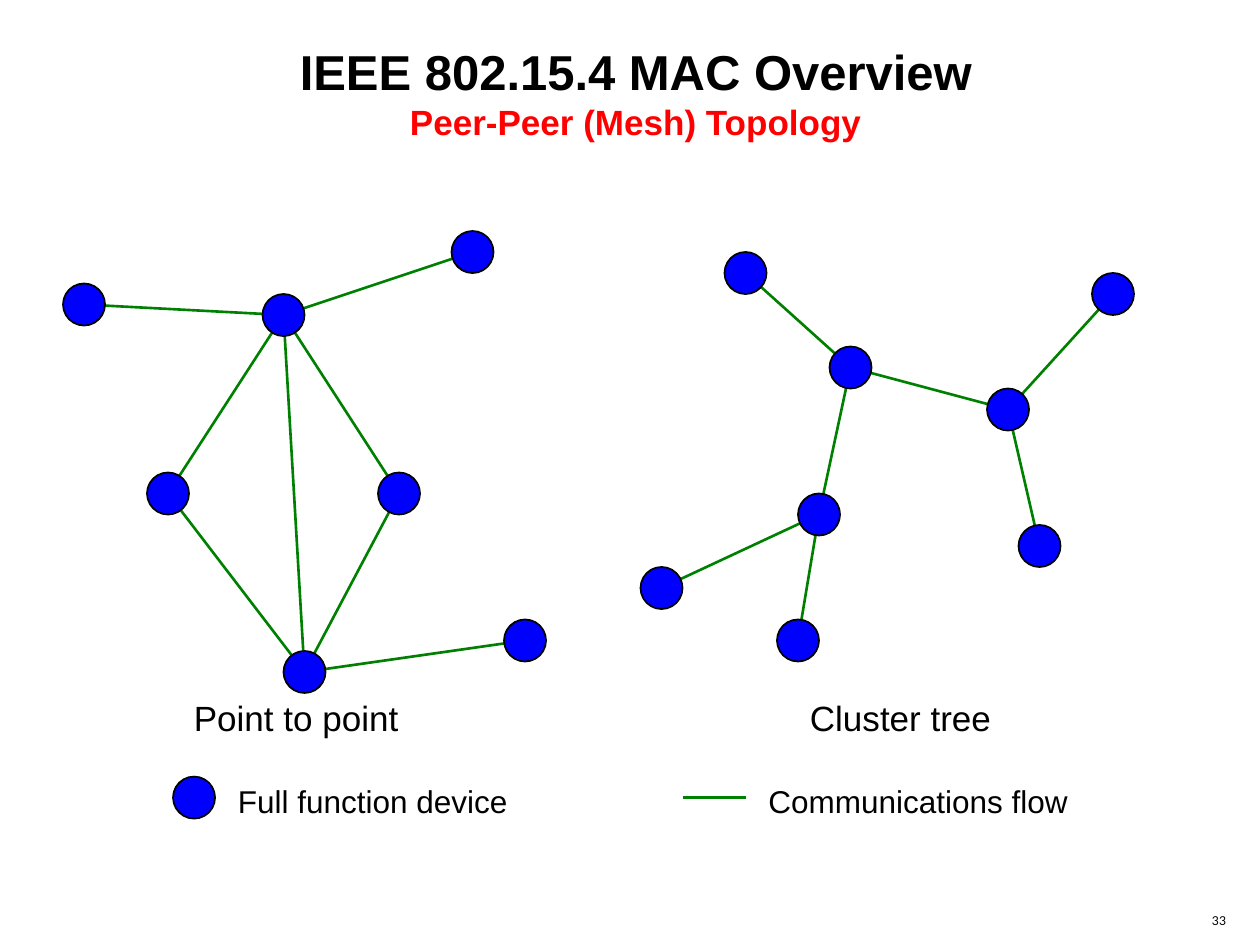
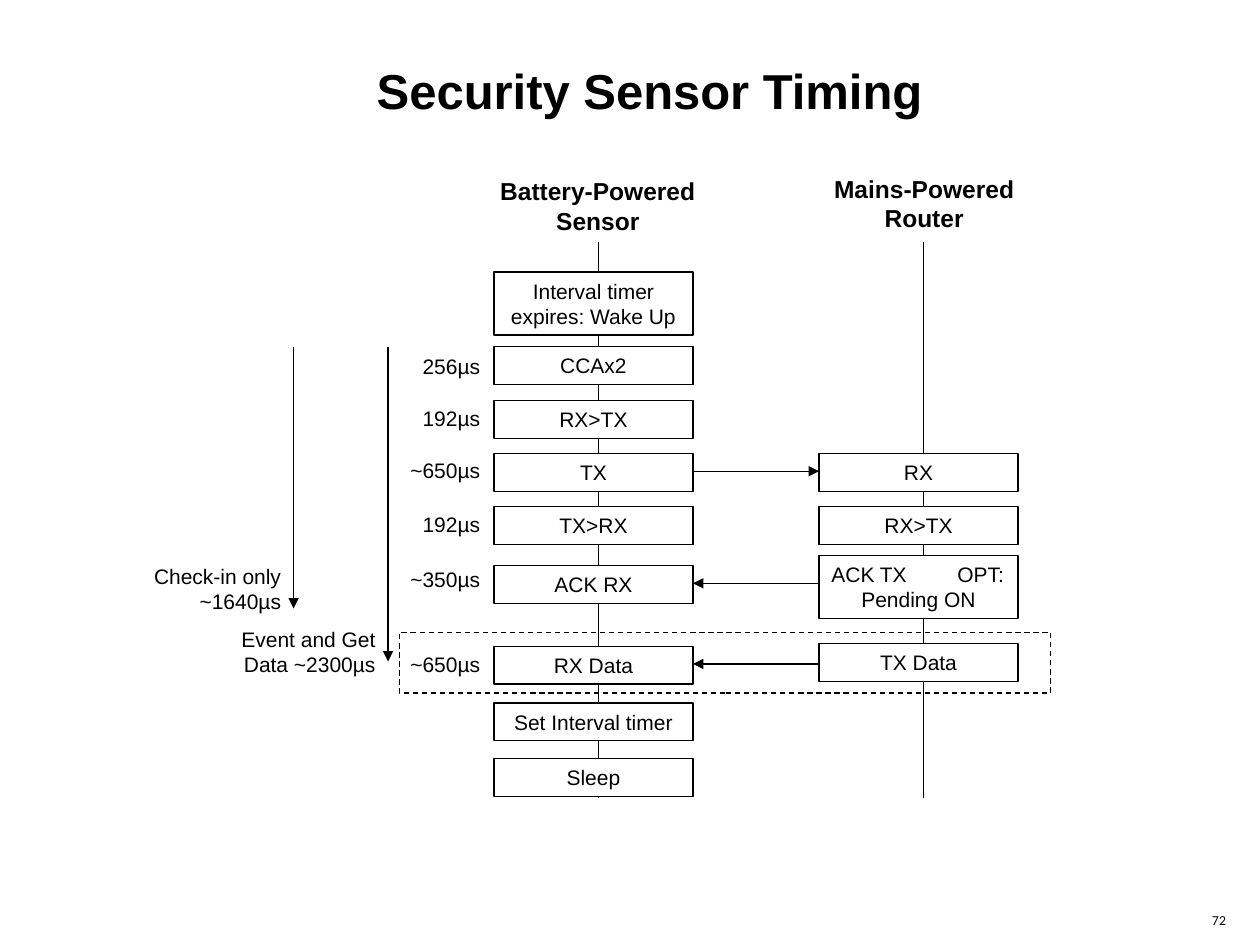
from lxml.etree import SubElement
from pptx import Presentation
from pptx.dml.color import RGBColor
from pptx.enum.dml import MSO_LINE
from pptx.enum.shapes import MSO_CONNECTOR, MSO_SHAPE
from pptx.enum.text import MSO_ANCHOR, PP_ALIGN
from pptx.oxml.ns import qn
from pptx.util import Inches, Pt

COLORS = {"ink": "000000", "paper": "FFFFFF", "accent": "FF0000",
          "device": "0000FF", "flow": "008000"}
FONT, NUMBER_FONT = "Arial", "Lato"
CELLS_PER_INCH = 12

TOPOLOGIES = [
    {
        "caption": ("Point to point", 1.44, 1.92),
        "devices": {"top": (27, 30), "west": (8, 29), "north": (45, 24),
                    "left": (16, 47), "right": (38, 47),
                    "bottom": (29, 64), "east": (50, 61)},
        "flows": [("bottom", "left"), ("bottom", "east"), ("right", "bottom"),
                  ("left", "top"), ("bottom", "top"), ("top", "west"),
                  ("top", "north"), ("top", "right")],
    },
    {
        "caption": ("Cluster tree", 6.33, 1.74),
        "devices": {"root": (81, 35), "root leaf": (71, 26),
                    "east": (96, 39), "east leaf": (106, 28),
                    "east leaf 2": (99, 52), "south": (78, 49),
                    "south leaf": (63, 56), "south leaf 2": (76, 61)},
        "flows": [("root", "root leaf"), ("root", "east"), ("root", "south"),
                  ("east", "east leaf"), ("east", "east leaf 2"),
                  ("south", "south leaf"), ("south", "south leaf 2")],
    },
]
LEGEND_Y = 6.33
DEVICE_SIZE = 1 / 3

STEP_WIDTH, STEP_HEIGHT, TALL_STEP = 1.58, 0.3, 0.5
LIFELINE = (1.92, 6.33)
ACTORS = [
    {
        "name": ("Battery-Powered Sensor", 3.83, 1.35, 1.83),
        "left": 3.92, "axis": 4.75,
        "steps": [("Interval timer expires: Wake Up", 2.16, TALL_STEP),
                  ("CCAx2", 2.75, STEP_HEIGHT), ("RX>TX", 3.18, STEP_HEIGHT),
                  ("TX", 3.6, STEP_HEIGHT), ("TX>RX", 4.02, STEP_HEIGHT),
                  ("ACK RX", 4.49, STEP_HEIGHT), ("RX Data", 5.13, STEP_HEIGHT),
                  ("Set Interval timer", 5.58, STEP_HEIGHT),
                  ("Sleep", 6.02, STEP_HEIGHT)],
    },
    {
        "name": ("Mains-Powered Router", 6.5, 1.33, 1.67),
        "left": 6.5, "axis": 7.33,
        "steps": [("RX", 3.6, STEP_HEIGHT), ("RX>TX", 4.02, STEP_HEIGHT),
                  ([("ACK TX\tOPT:", {"align": "left", "tab": 1.37}), "Pending ON"],
                   4.41, TALL_STEP),
                  ("TX Data", 5.11, STEP_HEIGHT)],
    },
]
MESSAGES = [(5.5, 6.5, 3.74), (6.5, 5.5, 4.63), (6.5, 5.5, 5.27)]
DURATIONS = [("256µs", 2.76), ("192µs", 3.17), ("~650µs", 3.58),
             ("192µs", 4.01), ("~350µs", 4.45), ("~650µs", 5.12)]
TOTALS = [("Check-in only ~1640µs", 1.08, 4.42, 2.33, 4.83),
          ("Event and Get Data ~2300µs", 1.42, 4.92, 3.08, 5.25)]
GET_DATA_FRAME = (3.17, 5.02, 5.17, 0.48)

ALIGNMENTS = {"left": PP_ALIGN.LEFT, "center": PP_ALIGN.CENTER, "right": PP_ALIGN.RIGHT}


def rgb(color):
    return RGBColor.from_string(COLORS[color])


def write(frame, content, anchor=MSO_ANCHOR.TOP, **shared):
    frame.word_wrap = True
    frame.vertical_anchor = anchor
    lines = content if isinstance(content, list) else [content]
    for index, line in enumerate(lines):
        words, own = line if isinstance(line, tuple) else (line, {})
        style = {"size": 12, "color": "ink", "bold": False, "align": "left",
                 "font": FONT, "tab": None, **shared, **own}
        paragraph = frame.paragraphs[0] if index == 0 else frame.add_paragraph()
        paragraph.text = words
        paragraph.alignment = ALIGNMENTS[style["align"]]
        if style["tab"]:
            stops = SubElement(paragraph._p.get_or_add_pPr(), qn("a:tabLst"))
            SubElement(stops, qn("a:tab"), pos=str(Inches(style["tab"])), algn="r")
        for run in paragraph.runs:
            run.font.size = Pt(style["size"])
            run.font.bold = style["bold"]
            run.font.name = style["font"]
            run.font.color.rgb = rgb(style["color"])


def label(slide, box, content, **style):
    write(slide.shapes.add_textbox(*map(Inches, box)).text_frame, content, **style)


def outline(slide, kind, box, fill=None, width=0.75):
    shape = slide.shapes.add_shape(kind, *map(Inches, box))
    shape.shadow.inherit = False
    if fill:
        shape.fill.solid()
        shape.fill.fore_color.rgb = rgb(fill)
    else:
        shape.fill.background()
    shape.line.color.rgb = rgb("ink")
    shape.line.width = Pt(width)
    return shape


def connect(slide, start, end, color="ink", width=0.75, arrow=False):
    link = slide.shapes.add_connector(MSO_CONNECTOR.STRAIGHT, *map(Inches, (*start, *end)))
    link.line.color.rgb = rgb(color)
    link.line.width = Pt(width)
    if arrow:
        SubElement(link.line._get_or_add_ln(), qn("a:tailEnd"), type="triangle")
    SubElement(link._element.spPr, qn("a:effectLst"))


def flow(slide, start, end):
    connect(slide, start, end, color="flow", width=1.5)


def device(slide, center):
    corner = [position - DEVICE_SIZE / 2 for position in center]
    outline(slide, MSO_SHAPE.OVAL, (*corner, DEVICE_SIZE, DEVICE_SIZE), "device", 1)


def new_slide(deck, title, title_box, number, anchor):
    slide = deck.slides.add_slide(deck.slide_layouts[6])
    label(slide, title_box, title, anchor=anchor, size=28, bold=True, align="center")
    label(slide, (9.45, 7.14, 0.45, 0.33), number, anchor=MSO_ANCHOR.MIDDLE,
          size=7, font=NUMBER_FONT, align="center")
    return slide


def build_topologies(deck):
    title = ["IEEE 802.15.4 MAC Overview",
             ("Peer-Peer (Mesh) Topology", {"size": 20, "color": "accent"})]
    slide = new_slide(deck, title, (1.17, 0.28, 7.75, 0.9), "33", MSO_ANCHOR.TOP)
    for topology in TOPOLOGIES:
        centers = {name: [cell / CELLS_PER_INCH for cell in cells]
                   for name, cells in topology["devices"].items()}
        for start, end in topology["flows"]:
            flow(slide, centers[start], centers[end])
        for center in centers.values():
            device(slide, center)
        caption, left, width = topology["caption"]
        label(slide, (left, 5.48, width, 0.44), caption, size=20)
    device(slide, (1.54, LEGEND_Y))
    flow(slide, (5.42, LEGEND_Y), (5.92, LEGEND_Y))
    for meaning, left in (("Full function device", 1.79), ("Communications flow", 6)):
        label(slide, (left, 6.16, 2.7, 0.4), meaning, size=18)


def build_timing(deck):
    slide = new_slide(deck, "Security Sensor Timing", (1.14, 0.21, 8.03, 1.01),
                      "72", MSO_ANCHOR.MIDDLE)
    for actor in ACTORS:
        name, left, top, width = actor["name"]
        label(slide, (left, top, width, 0.57), name, size=14, bold=True, align="center")
        connect(slide, *((actor["axis"], end) for end in LIFELINE))
        for step, top, height in actor["steps"]:
            box = outline(slide, MSO_SHAPE.RECTANGLE,
                          (actor["left"], top, STEP_WIDTH, height), "paper")
            write(box.text_frame, step, align="center")
    for start, end, y in MESSAGES:
        connect(slide, (start, y), (end, y), arrow=True)
    for duration, top in DURATIONS:
        label(slide, (3.08, top, 0.83, STEP_HEIGHT), duration, align="right")
    for total, left, top, axis, end in TOTALS:
        connect(slide, (axis, 2.75), (axis, end), arrow=True)
        label(slide, (left, top, axis - left, TALL_STEP), total, align="right")
    frame = outline(slide, MSO_SHAPE.RECTANGLE, GET_DATA_FRAME)
    frame.line.dash_style = MSO_LINE.DASH


def main():
    deck = Presentation()
    deck.slide_width, deck.slide_height = Inches(10), Inches(7.5)
    build_topologies(deck)
    build_timing(deck)
    deck.save("out.pptx")


if __name__ == "__main__":
    main()
